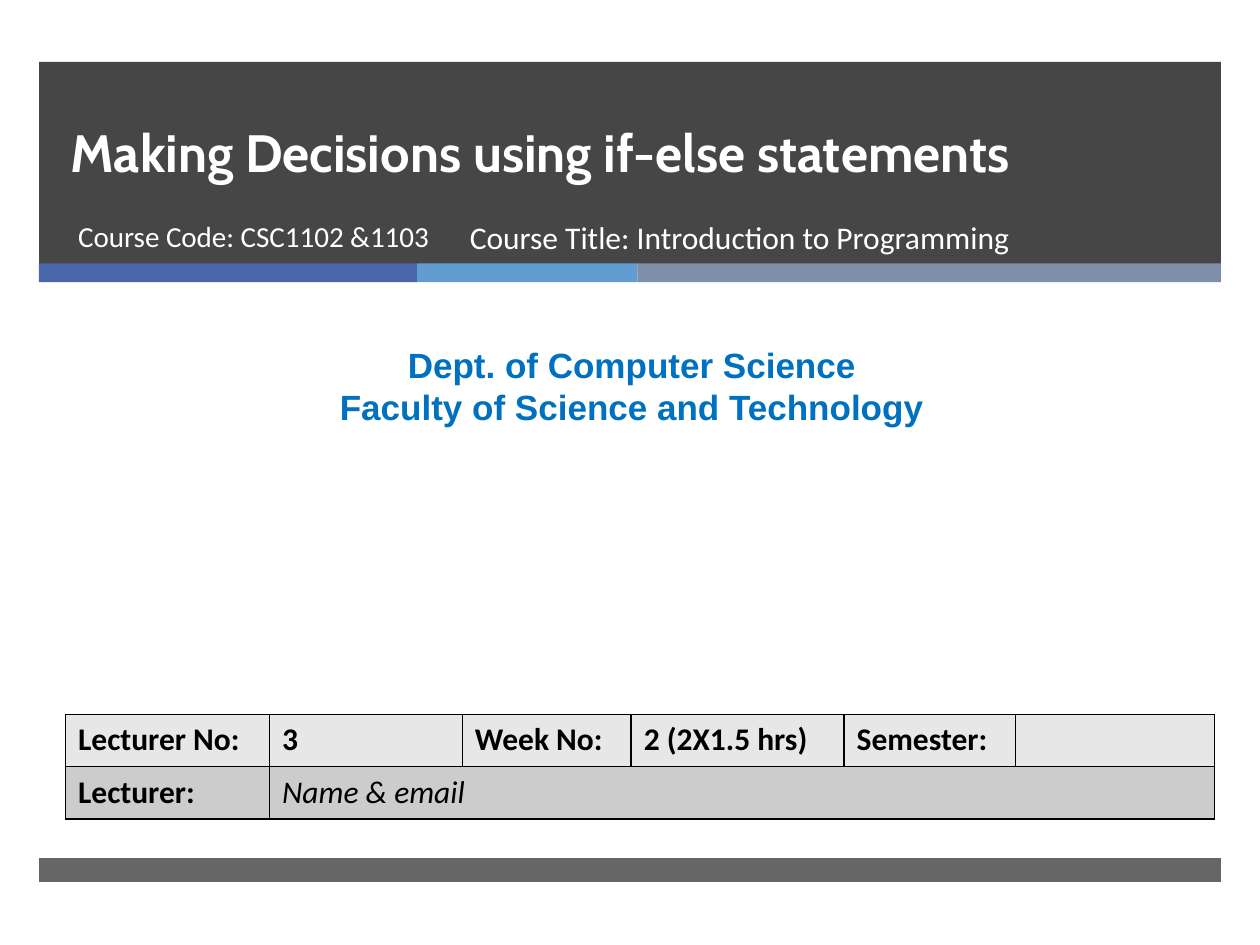
from lxml.etree import SubElement
from pptx import Presentation
from pptx.dml.color import RGBColor
from pptx.enum.shapes import MSO_SHAPE
from pptx.enum.text import MSO_ANCHOR, MSO_AUTO_SIZE, PP_ALIGN
from pptx.oxml.ns import qn
from pptx.util import Inches, Pt

# Content
TITLE = "Making Decisions using if-else statements"
CODE = "Course Code: CSC1102 &1103"
COURSE = "Course Title: Introduction to Programming"
DEPT = "Dept. of Computer Science\nFaculty of Science and Technology"
ROWS = [
    ["Lecturer No:", "3", "Week No:", "2 (2X1.5 hrs)", "Semester:", ""],
    ["Lecturer:", "Name & email", "", "", "", ""],
]
COLS = [1.62, 1.53, 1.34, 1.69, 1.36, 1.58]
SHADES = ["E7E7E7", "CCCCCC"]
STRIPES = [(3, "4A66AC"), (1.75, "629DD1"), (4.63, "7F8FA9")]
LEFT, WIDE = 0.31, 9.38


def paint(fill, color, alpha=100):
    fill.solid()
    fill.fore_color.rgb = RGBColor.from_string(color)
    if alpha < 100:
        clr = fill._xPr.find(qn("a:solidFill"))[0]
        SubElement(clr, qn("a:alpha"), val=str(alpha * 1000))


def style(frame, size, font, color, bold=False, italic=False, align=PP_ALIGN.LEFT):
    for para in frame.paragraphs:
        para.alignment = align
        para.space_before = Pt(0)
        for run in para.runs:
            run.font.size, run.font.name = Pt(size), font
            run.font.bold, run.font.italic = bold, italic
            run.font.color.rgb = RGBColor.from_string(color)


def place(shape, x, y, w, h, text, anchor=MSO_ANCHOR.TOP):
    shape.left, shape.top = Inches(x), Inches(y)
    shape.width, shape.height = Inches(w), Inches(h)
    frame = shape.text_frame
    frame.text = text
    frame.word_wrap = True
    frame.auto_size = MSO_AUTO_SIZE.NONE
    frame.vertical_anchor = anchor
    return frame


def bar(x, y, w, h, color, alpha=100):
    shape = slide.shapes.add_shape(
        MSO_SHAPE.RECTANGLE, Inches(x), Inches(y), Inches(w), Inches(h))
    shape.shadow.inherit = False
    shape.line.fill.background()
    paint(shape.fill, color, alpha)


def edge(cell):
    props = cell._tc.get_or_add_tcPr()
    for spot, side in enumerate(("lnL", "lnR", "lnT", "lnB")):
        line = SubElement(props, qn("a:" + side), w=str(Pt(1)))
        fill = SubElement(line, qn("a:solidFill"))
        SubElement(fill, qn("a:srgbClr"), val="000000")
        props.insert(spot, line)


deck = Presentation()
deck.slide_width, deck.slide_height = Inches(10), Inches(7.5)
slide = deck.slides.add_slide(deck.slide_layouts[0])
title, sub = slide.placeholders

# Bands
bar(LEFT, 0.49, WIDE, 1.61, "262626", 85)
x = LEFT
for w, color in STRIPES:
    bar(x, 2.09, w, 0.15, color)
    x += w
bar(LEFT, 6.81, WIDE, 0.19, "262626", 70)

# Heading, lifted above the bands
for shape in (title, sub):
    slide.shapes._spTree.append(shape._element)
frame = place(title, 0.46, 0.68, 8.54, 0.82, TITLE, MSO_ANCHOR.BOTTOM)
style(frame, 30, "Cabin", "FFFFFF", bold=True)
frame.paragraphs[0].line_spacing = Pt(46)
style(place(sub, 0.52, 1.68, 3.21, 0.53, CODE), 16.6, "Calibri", "FFFFFF")

# Course title and department
box = slide.shapes.add_textbox(0, 0, 0, 0)
style(place(box, 3.63, 1.68, 4.55, 0.53, COURSE), 18, "Calibri", "FFFFFF")
box = slide.shapes.add_textbox(0, 0, 0, 0)
style(place(box, 0.08, 2.68, 9.87, 0.77, DEPT), 20, "Arial", "0070C0",
      bold=True, align=PP_ALIGN.CENTER)

# Lecture table
table = slide.shapes.add_table(
    len(ROWS), len(COLS), Inches(0.52), Inches(5.67),
    Inches(sum(COLS)), Inches(0.83)).table
for col, w in zip(table.columns, COLS):
    col.width = Inches(w)
for r, row in enumerate(ROWS):
    for c, text in enumerate(row):
        cell = table.cell(r, c)
        cell.text = text
        note = text == "Name & email"
        style(cell.text_frame, 18, "Calibri", "000000", not note, note)
        paint(cell.fill, SHADES[r])
        edge(cell)
table.cell(1, 1).merge(table.cell(1, 5))

deck.save("out.pptx")
